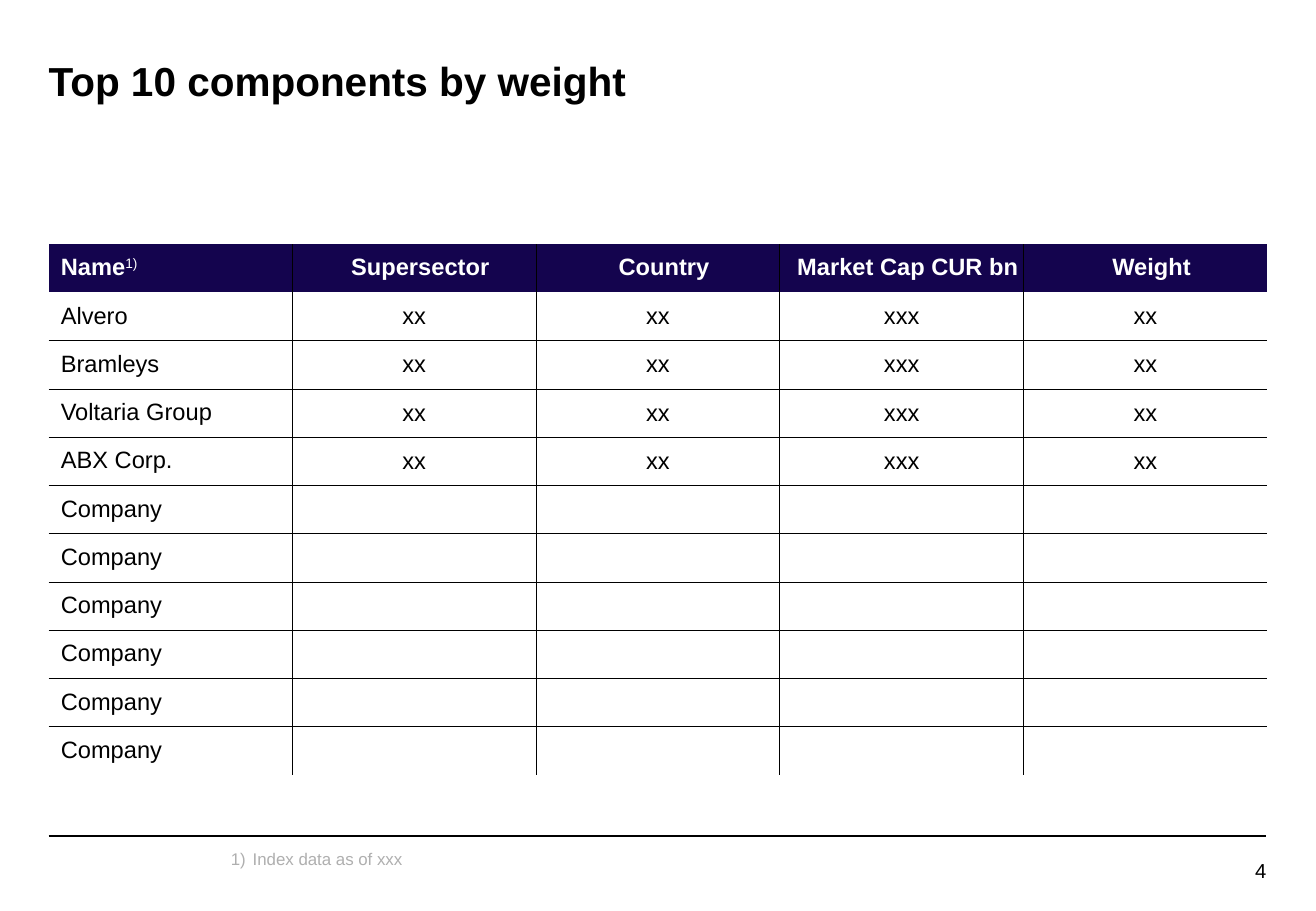
from lxml import etree
from pptx import Presentation
from pptx.dml.color import RGBColor
from pptx.enum.shapes import MSO_CONNECTOR
from pptx.enum.text import MSO_ANCHOR, PP_ALIGN
from pptx.oxml.ns import qn
from pptx.util import Inches, Pt

LEFT, CENTER, RIGHT = PP_ALIGN.LEFT, PP_ALIGN.CENTER, PP_ALIGN.RIGHT
MIDDLE = MSO_ANCHOR.MIDDLE
STRAIGHT = MSO_CONNECTOR.STRAIGHT

BLACK = "000000"
WHITE = "FFFFFF"
NAVY = "14044E"
GRAY = "AFAFAF"

HEADERS = ["Name", "Supersector", "Country", "Market Cap CUR bn", "Weight"]
NAMED_COMPANIES = ["Alvero", "Bramleys", "Voltaria Group", "ABX Corp."]
VALUES = ["xx", "xx", "xxx", "xx"]
ROWS = [HEADERS]
ROWS += [[name, *VALUES] for name in NAMED_COMPANIES]
ROWS += [["Company", "", "", "", ""] for _ in range(6)]


def color(value):
    return RGBColor.from_string(value)


def write(paragraph, text, size=14, fill=BLACK, bold=False, align=LEFT,
          spacing=None, baseline=None):
    paragraph.alignment = align
    if spacing:
        paragraph.line_spacing = spacing
    run = paragraph.add_run()
    run.text = text
    run.font.name = "Arial"
    run.font.size = Pt(size)
    run.font.bold = bold
    run.font.color.rgb = color(fill)
    if baseline:
        run.font._element.set("baseline", str(baseline * 1000))


def set_borders(cell, visible_sides):
    properties = cell._tc.get_or_add_tcPr()
    for side in "LRTB":
        line = etree.SubElement(properties, qn(f"a:ln{side}"), w=str(Pt(0.5)))
        if side in visible_sides:
            fill = etree.SubElement(line, qn("a:solidFill"))
            etree.SubElement(fill, qn("a:srgbClr"), val=BLACK)
        else:
            etree.SubElement(line, qn("a:noFill"))


class SlideBuilder:
    def __init__(self, slide):
        self.slide = slide

    def text(self, left, top, width, height, text, top_inset=0, number=None,
             **style):
        box = self.slide.shapes.add_textbox(
            Inches(left), Inches(top), Inches(width), Inches(height))
        frame = box.text_frame
        frame.word_wrap = True
        frame.margin_left = frame.margin_right = frame.margin_bottom = 0
        frame.margin_top = Inches(top_inset)
        paragraph = frame.paragraphs[0]
        if number:
            properties = paragraph._p.get_or_add_pPr()
            properties.set("marL", str(Inches(0.18)))
            properties.set("indent", str(-Inches(0.18)))
            etree.SubElement(properties, qn("a:buFont"), typeface="Arial")
            etree.SubElement(properties, qn("a:buAutoNum"), type=number)
        write(paragraph, text, **style)

    def rule(self, left, right, y):
        line = self.slide.shapes.add_connector(
            STRAIGHT, Inches(left), Inches(y), Inches(right), Inches(y))
        line.line.color.rgb = color(BLACK)
        line.line.width = Pt(1)
        etree.SubElement(line._element.spPr, qn("a:effectLst"))

    def table(self, left, top, width, height, rows):
        table = self.slide.shapes.add_table(
            len(rows), len(rows[0]), Inches(left), Inches(top),
            Inches(width), Inches(height)).table
        table.first_row = table.horz_banding = False
        for row, texts in enumerate(rows):
            for column, text in enumerate(texts):
                cell = table.cell(row, column)
                self.cell(cell, text, row, column, len(rows), len(texts))
        return table

    def cell(self, cell, text, row, column, row_count, column_count):
        header, first = row == 0, column == 0
        sides = {"L": not first, "R": column < column_count - 1,
                 "T": row > 1, "B": 0 < row < row_count - 1}
        set_borders(cell, [side for side, shown in sides.items() if shown])
        if header:
            cell.fill.solid()
            cell.fill.fore_color.rgb = color(NAVY)
        else:
            cell.fill.background()
        cell.vertical_anchor = MIDDLE
        cell.margin_left = Inches(0.1 if header or first else 0.04)
        cell.margin_right = Inches(0 if header and first else 0.08 if header and False else 0 if header else 0.04)
        tall = text and not (header and first)
        cell.margin_top = cell.margin_bottom = Inches(0.08 if tall else 0)
        if text:
            write(cell.text_frame.paragraphs[0], text, bold=header,
                  fill=WHITE if header else BLACK,
                  align=LEFT if first else CENTER,
                  spacing=0.95 if header or first else None)


def main():
    presentation = Presentation()
    presentation.slide_width = Inches(10.83)
    presentation.slide_height = Inches(7.5)
    slide = presentation.slides.add_slide(presentation.slide_layouts[6])
    builder = SlideBuilder(slide)

    builder.rule(0.4, 10.42, 6.88)
    builder.text(9.53, 7.08, 0.89, 0.19, "4", size=12, align=RIGHT,
                 spacing=0.95)
    builder.text(0.4, 0.43, 10.02, 0.84, "Top 10 components by weight",
                 top_inset=0.03, size=24, bold=True)
    components = builder.table(0.4, 2.01, 10.03, 4.37, ROWS)
    write(components.cell(0, 0).text_frame.paragraphs[0], "1)", fill=WHITE,
          spacing=0.95, baseline=30)
    builder.text(1.9, 7, 8.3, 0.4, "Index data as of xxx",
                 number="arabicParenR", size=10, fill=GRAY, spacing=0.95)

    presentation.save("out.pptx")


if __name__ == "__main__":
    main()
